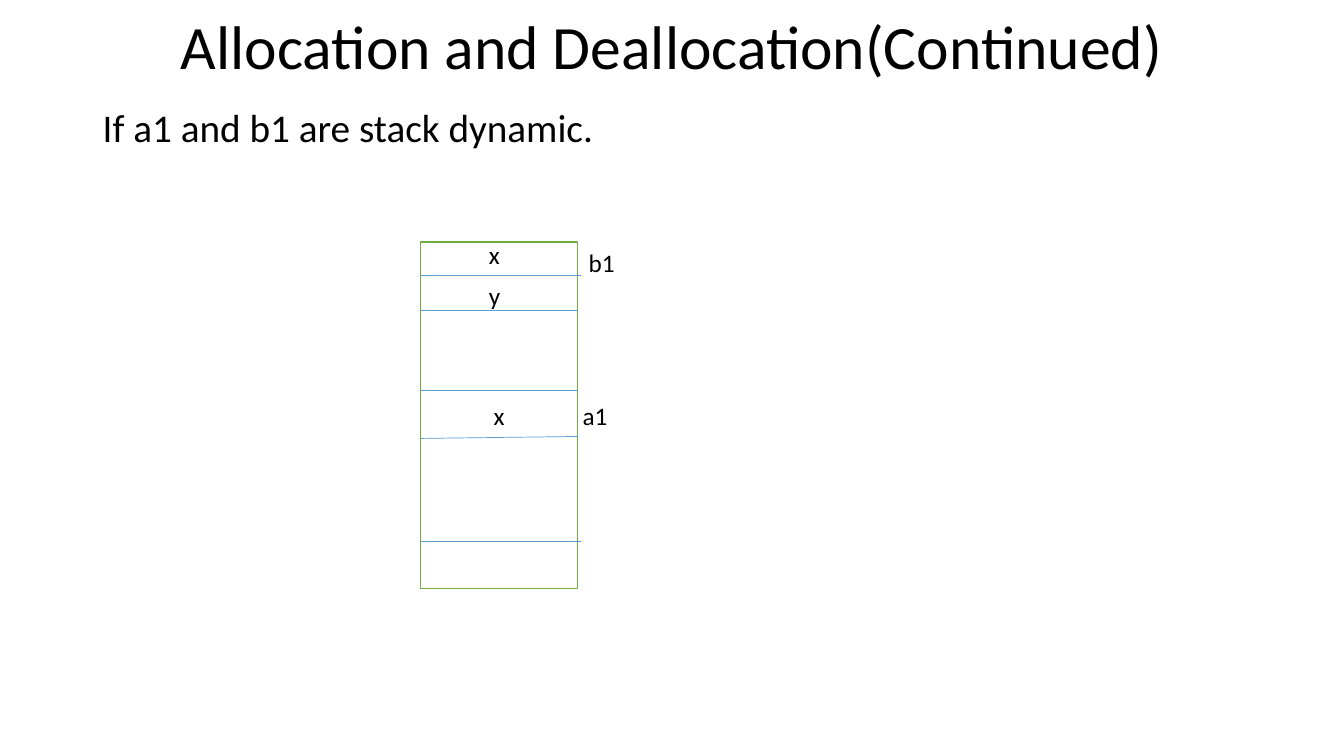
import pptx
import pptx.util
import pptx.dml.color
import pptx.enum.shapes
import pptx.enum.text
import lxml.etree

THEME = {
    "font": "Calibri", "ink": "000000", "paper": "FFFFFF",
    "edge": "70AD47", "rule": "5B9BD5",
    "title": 44, "body": 28, "label": 18,
    "edge_width": 1, "rule_width": 0.5,
}
WIDE, HIGH = 13.33, 7.5
TITLE = "Allocation and Deallocation(Continued)"
BODY = "If a1 and b1 are stack dynamic."

# Stack frame: left, top, width, height
STACK = (4.17, 2.4, 1.56, 3.44)
STACK_TEXT = "x"
# Cell borders: left height, right height, overhang past the stack
RULES = [(2.73, 2.73, 0.03), (3.08, 3.08, 0), (3.87, 3.87, 0),
         (4.35, 4.33, 0), (5.37, 5.37, 0.03)]
# Labels: text, left, top
LABELS = [("x", 4.75, 2.33), ("y", 4.75, 2.73),
          ("b1", 5.74, 2.4), ("a1", 5.68, 3.92)]
LABEL_SIZE = (0.6, 0.4)

Inch, Pt = pptx.util.Inches, pptx.util.Pt
Align = pptx.enum.text.PP_ALIGN
Anchor = pptx.enum.text.MSO_ANCHOR


def tint(name):
    """Return a theme colour."""
    return pptx.dml.color.RGBColor.from_string(THEME[name])


def write(shape, text, size, align=Align.LEFT, anchor=Anchor.TOP):
    """Set one line of text in a shape and return its paragraph."""
    frame = shape.text_frame
    frame.word_wrap = True
    frame.vertical_anchor = anchor
    para = frame.paragraphs[0]
    para.alignment = align
    run = para.add_run()
    run.text = text
    run.font.name = THEME["font"]
    run.font.size = Pt(THEME[size])
    run.font.color.rgb = tint("ink")
    return para


def add_text(slide, box, *style):
    """Add a text box and return its paragraph."""
    return write(slide.shapes.add_textbox(*map(Inch, box)), *style)


def add_stack(slide):
    """Draw the stack frame with its middle entry."""
    kind = pptx.enum.shapes.MSO_SHAPE.RECTANGLE
    stack = slide.shapes.add_shape(kind, *map(Inch, STACK))
    stack.shadow.inherit = False
    stack.fill.solid()
    stack.fill.fore_color.rgb = tint("paper")
    stack.line.color.rgb = tint("edge")
    stack.line.width = Pt(THEME["edge_width"])
    write(stack, STACK_TEXT, "label", Align.CENTER, Anchor.MIDDLE)


def add_rule(slide, start, end, over):
    """Draw one cell border across the stack."""
    left, _, width, _ = STACK
    ends = (left, start, left + width + over, end)
    kind = pptx.enum.shapes.MSO_CONNECTOR.STRAIGHT
    rule = slide.shapes.add_connector(kind, *map(Inch, ends))
    rule.line.color.rgb = tint("rule")
    rule.line.width = Pt(THEME["rule_width"])
    props = rule._element.spPr
    lxml.etree.SubElement(props, pptx.oxml.ns.qn("a:effectLst"))


def build():
    """Build and save the slide."""
    deck = pptx.Presentation()
    deck.slide_width, deck.slide_height = Inch(WIDE), Inch(HIGH)
    slide = deck.slides.add_slide(deck.slide_layouts[6])
    side, head = 0.92, 0.98
    span = WIDE - 2 * side
    title = add_text(slide, (side, 0, span, head), TITLE, "title",
                     Align.CENTER, Anchor.MIDDLE)
    title.line_spacing = 0.9
    add_text(slide, (side, head, span, 5.86), BODY, "body")
    add_stack(slide)
    for rule in RULES:
        add_rule(slide, *rule)
    for text, left, top in LABELS:
        add_text(slide, (left, top, *LABEL_SIZE), text, "label")
    deck.save("out.pptx")


build()
